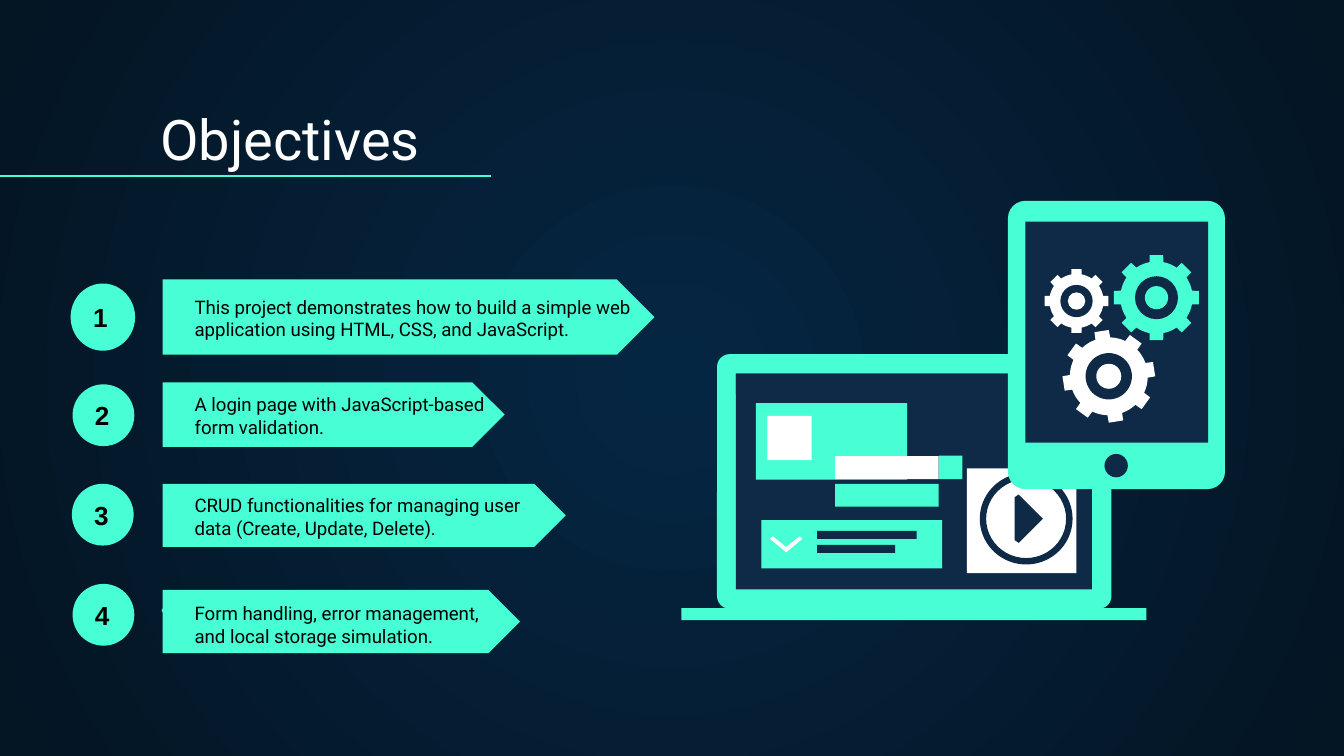
from math import cos, radians, sin

from lxml.etree import SubElement
from pptx import Presentation
from pptx.dml.color import RGBColor
from pptx.enum.shapes import MSO_CONNECTOR, MSO_SHAPE
from pptx.enum.text import MSO_ANCHOR, PP_ALIGN
from pptx.oxml.ns import qn
from pptx.util import Inches, Pt

MINT, NAVY, WHITE, BLACK = "48FFD5", "0E2A47", "FFFFFF", "000000"
CENTER, EDGE = "052643", "041523"
COLUMNS = 100
SLIDE_WIDTH = Inches(10)
SLIDE_HEIGHT = SLIDE_WIDTH * 9 // 16
CELL = SLIDE_WIDTH // COLUMNS

TITLE_FORMAT = {"name": "Roboto", "size": Pt(30), "bold": False}
BODY_FORMAT = {"name": "Roboto", "size": Pt(10), "bold": False}
NUMBER_FORMAT = {"name": "Arial", "size": Pt(14), "bold": True}

OBJECTIVES = [
    ((5.25, 21.1, 4.8, 5), (12.1, 20.8, 36.6, 5.6), (13.5, 22.85, 34.6, 3.5),
     "This project demonstrates how to build a simple web application using HTML, CSS, and JavaScript."),
    ((5.4, 28.6, 4.6, 4.6), (12.1, 28.45, 25.45, 4.8), (13.5, 30.3, 24.1, 3.3),
     "A login page with JavaScript-based form validation."),
    ((5.35, 36, 4.6, 4.6), (12.1, 36, 30, 4.7), (13.5, 38.2, 27.6, 2.9),
     "CRUD functionalities for managing user data (Create, Update, Delete)."),
    ((5.4, 43.45, 4.6, 4.6), (12.1, 43.9, 26.6, 4.7), (1, 47.15, 36.6, 1.7),
     "Form handling, error management, and local storage simulation."),
]

LAPTOP_PANELS = [
    ((54.75, 27.8, 26.5, 16.05), NAVY),
    ((50.7, 45.25, 34.6, 0.9), MINT),
    ((54.75, 27.8, 26.5, 1.5), NAVY),
    ((56.25, 30, 11.25, 5.7), MINT),
    ((57.1, 30.95, 3.3, 3.3), WHITE),
    ((60.2, 38.7, 9.9, 3.6), MINT),
    ((60.8, 39.5, 7.4, 0.6), NAVY),
    ((60.8, 40.55, 5.8, 0.6), NAVY),
    ((56.65, 38.7, 3.55, 3.6), MINT),
    ((62.15, 36, 7.7, 1.7), MINT),
    ((62.15, 33.95, 7.7, 1.7), WHITE),
    ((69.85, 33.9, 1.75, 1.75), MINT),
    ((71.95, 34.85, 8.15, 7.8), WHITE),
]
CHEVRON = [(57.3, 40.1), (57.5, 39.9), (58.5, 40.7), (59.5, 39.9), (59.7, 40.1), (58.5, 41.1)]
PLAY_MARK = [(75.5, 37), (75.8, 36.8), (77.6, 38.6), (75.8, 40.4), (75.5, 40.2)]
GEARS = [
    (86.05, 22.15, 3.2, 0, MINT),
    (80.1, 22.4, 2.4, 0, WHITE),
    (82.5, 28, 3.45, -9, WHITE),
]


def color(value):
    """Turn a hex string into a colour."""
    return RGBColor.from_string(value)


def grid(*cells):
    """Turn grid cells into slide lengths."""
    return [round(cell * CELL) for cell in cells]


def apply_format(target, formats):
    """Set each attribute named in a dict of format values."""
    for name, value in formats.items():
        setattr(target, name, value)


def paint(shape, fill):
    """Give a shape a flat fill without outline or shadow."""
    shape.shadow.inherit = False
    shape.fill.solid()
    shape.fill.fore_color.rgb = color(fill)
    shape.line.fill.background()
    return shape


def add_preset(page, kind, cells, fill, adjustment=None):
    """Add a preset shape placed on the grid."""
    shape = paint(page.shapes.add_shape(kind, *grid(*cells)), fill)
    if adjustment is not None:
        shape.adjustments[0] = adjustment
    return shape


def add_outline(page, points, fill):
    """Add a closed polygon through grid points."""
    start, *rest = [tuple(grid(*point)) for point in points]
    builder = page.shapes.build_freeform(*start)
    builder.add_line_segments(rest, close=True)
    return paint(builder.convert_to_shape(), fill)


def write(shape, text, formats, fill, anchor, align=PP_ALIGN.LEFT):
    """Write one formatted paragraph into a shape."""
    frame = shape.text_frame
    inset = Inches(0.1)
    apply_format(frame, {
        "word_wrap": True, "vertical_anchor": anchor, "margin_left": inset,
        "margin_right": inset, "margin_top": inset, "margin_bottom": inset})
    para = frame.paragraphs[0]
    para.alignment = align
    span = para.add_run()
    span.text = text
    apply_format(span.font, formats)
    span.font.color.rgb = color(fill)
    return para


def add_text(page, cells, text, formats, fill):
    """Add a text box whose text sits at the bottom."""
    box = page.shapes.add_textbox(*grid(*cells))
    return write(box, text, formats, fill, MSO_ANCHOR.BOTTOM)


def add_bullet(para):
    """Indent a paragraph behind a mint bullet."""
    properties = para._p.get_or_add_pPr()
    properties.set("marL", str(Inches(1.25)))
    properties.set("indent", str(-Inches(0.25)))
    bullet_color = SubElement(properties, qn("a:buClr"))
    SubElement(bullet_color, qn("a:srgbClr")).set("val", MINT)
    SubElement(properties, qn("a:buChar")).set("char", "•")


def add_rule(page, start, end):
    """Add a thin mint line between two grid points."""
    line = page.shapes.add_connector(MSO_CONNECTOR.STRAIGHT, *grid(*start, *end))
    line.line.color.rgb = color(MINT)
    line.line.width = Pt(0.75)
    SubElement(line._element.spPr, qn("a:effectLst"))


def add_disc(page, x, y, radius, fill):
    """Add a circle around a grid point."""
    add_preset(page, MSO_SHAPE.OVAL, (x - radius, y - radius, 2 * radius, 2 * radius), fill)


def add_gear(page, x, y, radius, turn, fill):
    """Add an eight-toothed gear with a ring and a hub."""
    profile = [(-11, 0.84), (-9, 1), (9, 1), (11, 0.84), (17, 0.84), (22.5, 0.84), (28, 0.84)]
    points = []
    for tooth in range(8):
        for offset, share in profile:
            angle = radians(45 * tooth + offset + turn)
            points.append((x + radius * share * cos(angle), y + radius * share * sin(angle)))
    add_outline(page, points, fill)
    add_disc(page, x, y, radius * 0.5, NAVY)
    add_disc(page, x, y, radius * 0.27, fill)


def add_background(page):
    """Fill the page with a gradient that darkens from its centre."""
    fill = page.background.fill
    fill.gradient()
    for position, (stop, value) in enumerate(zip(fill.gradient_stops, (CENTER, EDGE))):
        stop.color.rgb = color(value)
        stop.position = position
    gradient = page._element.find(".//" + qn("a:gradFill"))
    gradient.remove(gradient.find(qn("a:lin")))
    circle = SubElement(gradient, qn("a:path"))
    circle.set("path", "circle")
    center = SubElement(circle, qn("a:fillToRect"))
    for side in "ltrb":
        center.set(side, "50000")


def add_objectives(page):
    """Add the numbered arrows with their texts."""
    for number, (circle, arrow, cells, text) in enumerate(OBJECTIVES, 1):
        badge = add_preset(page, MSO_SHAPE.OVAL, circle, MINT)
        write(badge, str(number), NUMBER_FORMAT, BLACK, MSO_ANCHOR.MIDDLE)
        add_preset(page, MSO_SHAPE.PENTAGON, arrow, MINT, 0.5)
        para = add_text(page, cells, text, BODY_FORMAT, BLACK)
    add_bullet(para)


def add_laptop(page):
    """Add the laptop with its screen content."""
    add_preset(page, MSO_SHAPE.ROUNDED_RECTANGLE, (53.35, 26.35, 29.35, 18.95), MINT, 0.05)
    for cells, fill in LAPTOP_PANELS:
        add_preset(page, MSO_SHAPE.RECTANGLE, cells, fill)
    add_outline(page, CHEVRON, WHITE)
    add_preset(page, MSO_SHAPE.DONUT, (72.9, 35.2, 6.9, 6.8), NAVY, 0.07)
    add_outline(page, PLAY_MARK, NAVY)


def add_tablet(page):
    """Add the tablet with three gears."""
    add_preset(page, MSO_SHAPE.ROUNDED_RECTANGLE, (75, 14.95, 16.15, 21.45), MINT, 0.08)
    add_preset(page, MSO_SHAPE.RECTANGLE, (76.3, 16.5, 13.6, 16.45), NAVY)
    add_disc(page, 83.05, 34.65, 0.87, NAVY)
    for gear in GEARS:
        add_gear(page, *gear)


def main():
    """Build and save the objectives slide."""
    deck = Presentation()
    apply_format(deck, {"slide_width": SLIDE_WIDTH, "slide_height": SLIDE_HEIGHT})
    page = deck.slides.add_slide(deck.slide_layouts[6])
    add_background(page)
    add_text(page, (10.95, 7.15, 85.7, 6.6), "Objectives", TITLE_FORMAT, WHITE)
    add_rule(page, (0, 13.1), (36.5, 13.1))
    add_objectives(page)
    add_laptop(page)
    add_tablet(page)
    deck.save("out.pptx")


if __name__ == "__main__":
    main()
